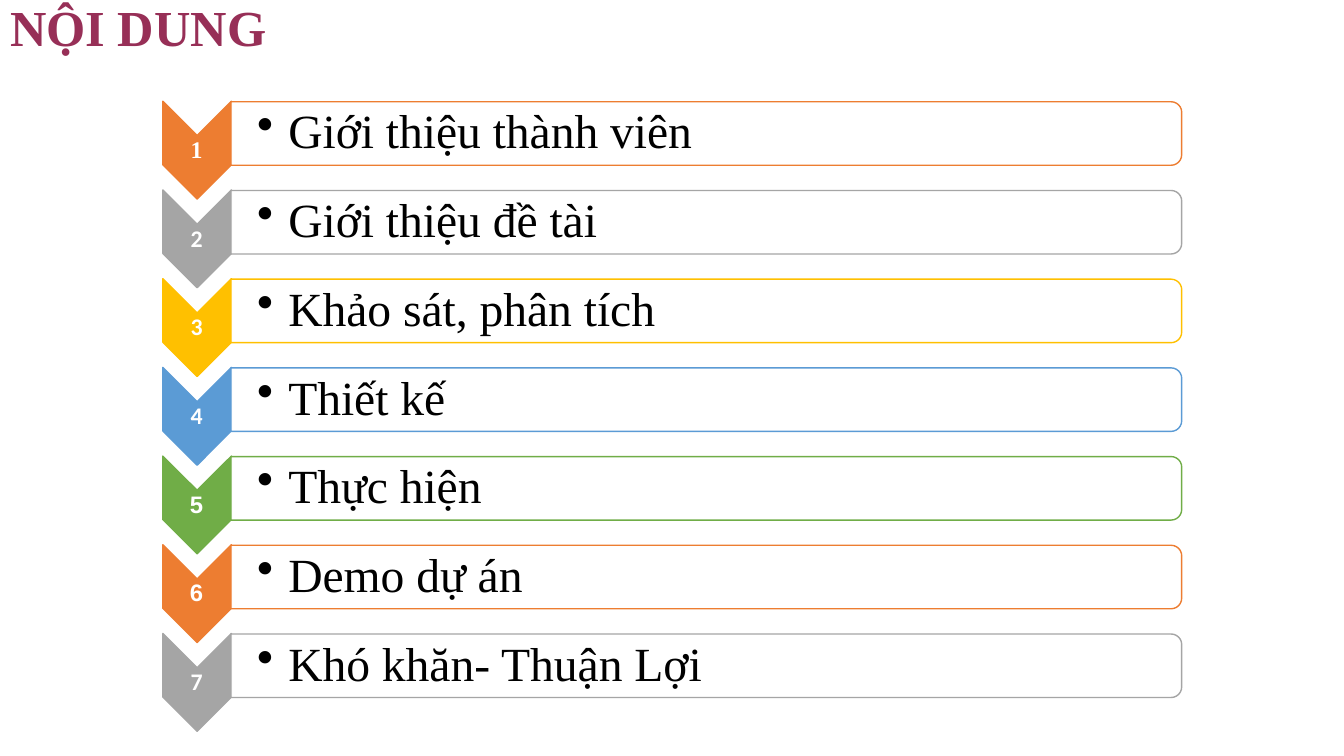
from dataclasses import dataclass

from lxml.etree import SubElement
from pptx import Presentation
from pptx.dml.color import RGBColor
from pptx.enum.shapes import MSO_SHAPE
from pptx.enum.text import MSO_ANCHOR, MSO_AUTO_SIZE, PP_ALIGN
from pptx.oxml.ns import qn
from pptx.shapes.autoshape import Shape
from pptx.slide import Slide
from pptx.util import Emu, Pt

PX = 9144  # 100 px to the inch
ROW_STEP = 88

WHITE = RGBColor(0xFF, 0xFF, 0xFF)
BLACK = RGBColor(0x00, 0x00, 0x00)
PLUM = RGBColor(0x97, 0x2F, 0x57)
ORANGE = RGBColor(0xED, 0x7D, 0x31)
GRAY = RGBColor(0xA5, 0xA5, 0xA5)
GOLD = RGBColor(0xFF, 0xC0, 0x00)
BLUE = RGBColor(0x5B, 0x9B, 0xD5)
GREEN = RGBColor(0x70, 0xAD, 0x47)

SERIF = "Times New Roman"


@dataclass(frozen=True)
class Topic:
    text: str
    color: RGBColor
    number_font: str


TOPICS = [
    Topic("Giới thiệu thành viên", ORANGE, SERIF),
    Topic("Giới thiệu đề tài", GRAY, "Calibri"),
    Topic("Khảo sát, phân tích", GOLD, "Calibri"),
    Topic("Thiết kế", BLUE, "Calibri"),
    Topic("Thực hiện", GREEN, "Arial"),
    Topic("Demo dự án", ORANGE, "Arial"),
    Topic("Khó khăn- Thuận Lợi", GRAY, "Calibri"),
]


def px(length: int) -> Emu:
    return Emu(length * PX)


def style_text(box: Shape, text: str, font_name: str, size: int,
               color: RGBColor, bold: bool, anchor: MSO_ANCHOR) -> None:
    frame = box.text_frame
    frame.word_wrap = True
    frame.auto_size = MSO_AUTO_SIZE.NONE
    frame.vertical_anchor = anchor
    paragraph = frame.paragraphs[0]
    paragraph.text = text
    paragraph.line_spacing = 0.9
    font = paragraph.font
    font.name, font.size, font.bold = font_name, Pt(size), bold
    font.color.rgb = color


def set_margins(box: Shape, left: int, others: int) -> None:
    frame = box.text_frame
    frame.margin_left = px(left)
    frame.margin_top = frame.margin_right = frame.margin_bottom = px(others)


def add_turned_shape(slide: Slide, kind: MSO_SHAPE, left: int, top: int,
                     width: int, height: int, fill: RGBColor, line: RGBColor) -> Shape:
    shape = slide.shapes.add_shape(kind, px(left), px(top), px(width), px(height))
    shape.rotation = 90
    shape.shadow.inherit = False
    shape.fill.solid()
    shape.fill.fore_color.rgb = fill
    shape.line.color.rgb = line
    shape.line.width = Pt(1)
    return shape


def add_bullet(box: Shape, indent: int) -> None:
    properties = box.text_frame.paragraphs[0]._p.get_or_add_pPr()
    properties.set("marL", str(px(indent)))
    properties.set("indent", str(px(-indent)))
    SubElement(properties, qn("a:buChar")).set("char", "•")


def add_topic(slide: Slide, index: int, topic: Topic) -> None:
    offset = index * ROW_STEP

    # Numbered chevron pointing down
    add_turned_shape(slide, MSO_SHAPE.CHEVRON, 147, 115 + offset, 97, 68,
                     topic.color, topic.color)
    number = slide.shapes.add_textbox(px(161), px(135 + offset), px(68), px(29))
    set_margins(number, 1, 1)
    style_text(number, str(index + 1), topic.number_font, 17, WHITE, True,
               MSO_ANCHOR.MIDDLE)
    number.text_frame.paragraphs[0].alignment = PP_ALIGN.CENTER

    # Panel rounded on its right side
    panel = add_turned_shape(slide, MSO_SHAPE.ROUND_2_SAME_RECTANGLE,
                             669, -339 + offset, 63, 943, WHITE, topic.color)
    fill_color = panel._element.spPr.find(qn("a:solidFill"))[0]
    SubElement(fill_color, qn("a:alpha")).set("val", "90000")

    # Topic text
    label = slide.shapes.add_textbox(px(229), px(104 + offset), px(940), px(57))
    set_margins(label, 26, 2)
    add_bullet(label, 31)
    style_text(label, topic.text, SERIF, 34, BLACK, False, MSO_ANCHOR.MIDDLE)


def main() -> None:
    presentation = Presentation()
    presentation.slide_width, presentation.slide_height = px(1333), px(750)
    slide = presentation.slides.add_slide(presentation.slide_layouts[5])

    # Agenda rows
    for index, topic in enumerate(TOPICS):
        add_topic(slide, index, topic)

    # Heading
    heading = slide.shapes.title
    heading.left, heading.top = px(0), px(1)
    heading.width, heading.height = px(288), px(61)
    style_text(heading, "NỘI DUNG", SERIF, 36, PLUM, True, MSO_ANCHOR.BOTTOM)
    heading.text_frame.paragraphs[0].alignment = PP_ALIGN.LEFT

    presentation.save("out.pptx")


if __name__ == "__main__":
    main()
